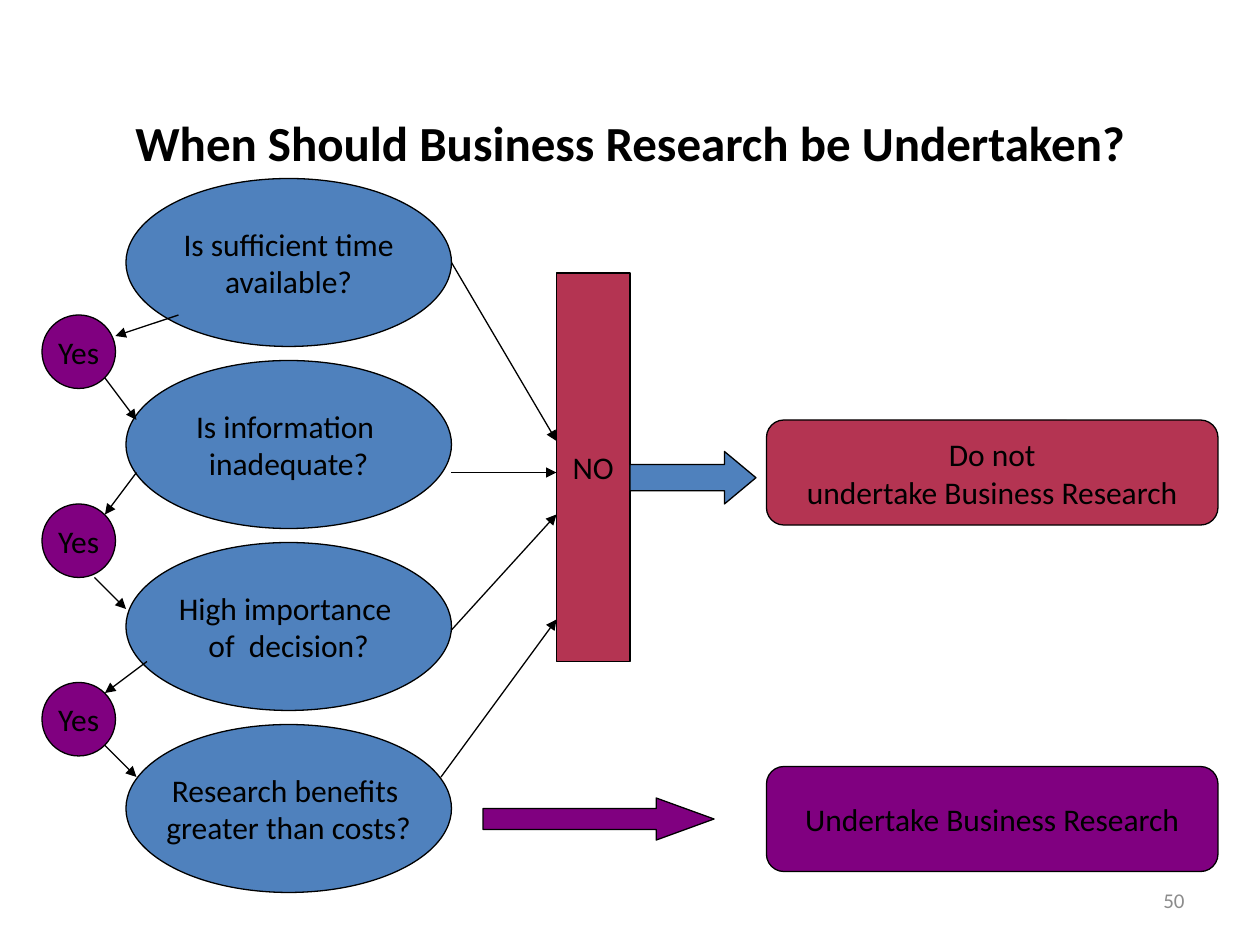
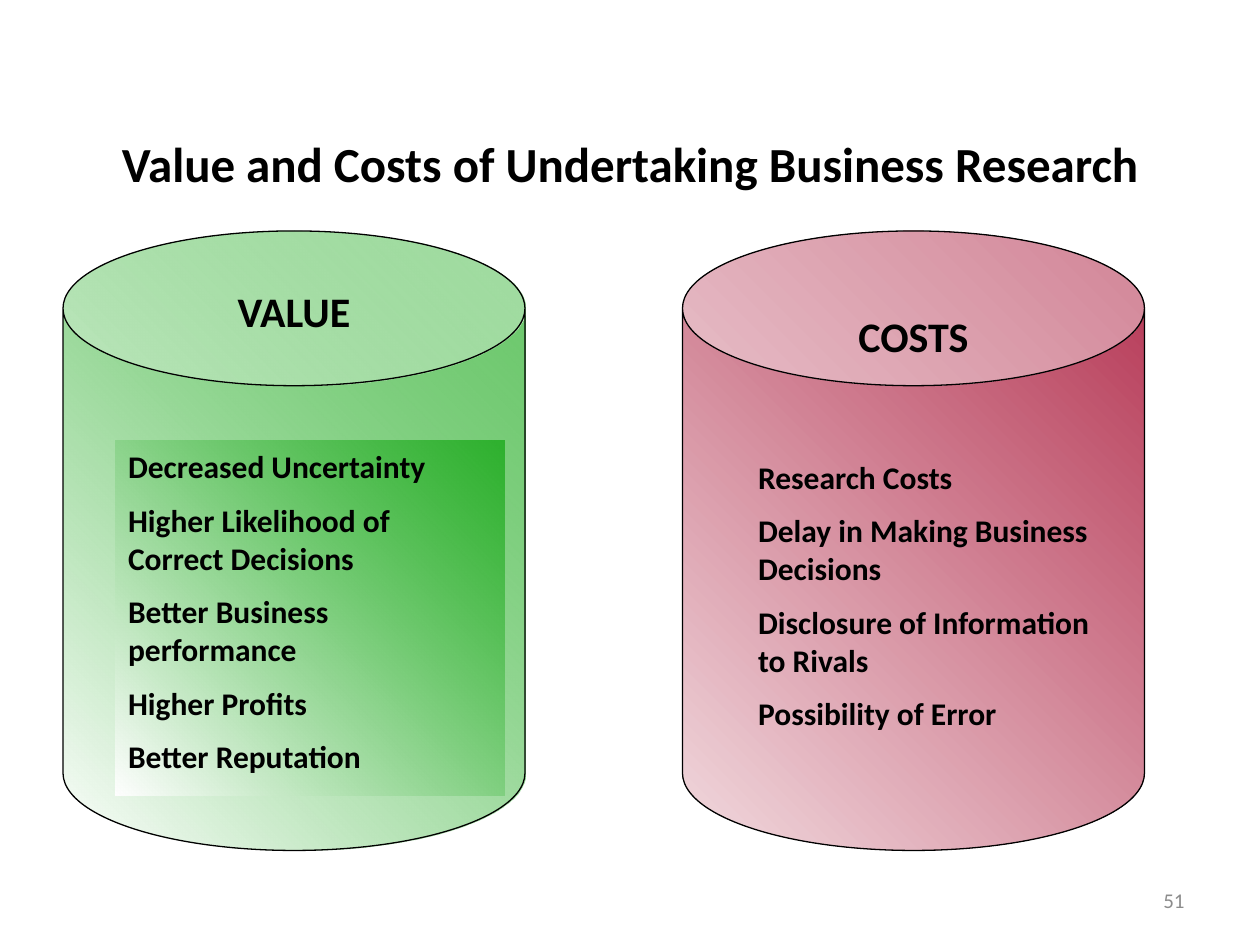
from collections import namedtuple
from dataclasses import dataclass

from lxml import etree
from pptx import Presentation
from pptx.dml.color import RGBColor
from pptx.enum.shapes import MSO_CONNECTOR, MSO_SHAPE
from pptx.enum.text import MSO_ANCHOR as Anchor, MSO_AUTO_SIZE as AutoSize, PP_ALIGN as Align
from pptx.oxml.ns import qn
from pptx.util import Emu, Pt

EMU_PER_PX = 9525
SLIDE_WIDTH, SLIDE_HEIGHT = 960, 720
TITLE_ONLY, TWO_CONTENT = 5, 3

Box = namedtuple("Box", "left top width height")


@dataclass(frozen=True)
class Theme:
    font: str = "Calibri"
    ink: str = "000000"
    muted: str = "8C8C8C"
    question: str = "4F81BD"
    proceed: str = "800080"
    stop: str = "B43452"
    stop_pale: str = "F1D9DE"
    value: str = "00A000"
    value_pale: str = "FFFFFF"
    value_opacity: int = 61
    title_size: int = 28
    heading_size: int = 24
    text_size: int = 18
    number_size: int = 12
    item_gap: int = 9
    line_width: float = 0.75


THEME = Theme()


def px(length):
    return Emu(round(length * EMU_PER_PX))


def rgb(color):
    return RGBColor.from_string(color)


def place(shape, box):
    shape.left, shape.top, shape.width, shape.height = map(px, box)


def write_text(frame, lines, size=THEME.text_size, bold=False, color=THEME.ink,
               align=Align.CENTER, anchor=Anchor.MIDDLE, wrap=True, gap=0, plain=False):
    """Write one paragraph per line; plain takes away inherited bullets."""
    frame.word_wrap = wrap
    frame.auto_size = AutoSize.NONE
    frame.vertical_anchor = anchor
    for index, line in enumerate(lines):
        paragraph = frame.paragraphs[0] if index == 0 else frame.add_paragraph()
        if plain:
            properties = paragraph._p.get_or_add_pPr()
            properties.set("marL", "0")
            properties.set("indent", "0")
            etree.SubElement(properties, qn("a:buNone"))
        paragraph.alignment = align
        paragraph.space_before = Pt(gap if index else 0)
        run = paragraph.add_run()
        run.text = line
        run.font.name = THEME.font
        run.font.size = Pt(size)
        run.font.bold = bold
        run.font.color.rgb = rgb(color)


def outline(line):
    line.color.rgb = rgb(THEME.ink)
    line.width = Pt(THEME.line_width)


def add_figure(slide, kind, box, fill=None, lines=(), adjustments=()):
    """Add an outlined preset shape with unwrapped, centred text."""
    shape = slide.shapes.add_shape(kind, *map(px, box))
    shape.shadow.inherit = False
    outline(shape.line)
    if fill:
        shape.fill.solid()
        shape.fill.fore_color.rgb = rgb(fill)
    for index, value in enumerate(adjustments):
        shape.adjustments[index] = value
    if lines:
        write_text(shape.text_frame, lines, wrap=False)
    return shape


def add_label(slide, box, text, **text_format):
    label = slide.shapes.add_textbox(*map(px, box))
    write_text(label.text_frame, [text], **text_format)


def add_arrow(slide, start, end):
    arrow = slide.shapes.add_connector(MSO_CONNECTOR.STRAIGHT, *map(px, start + end))
    outline(arrow.line)
    etree.SubElement(arrow.line._get_or_add_ln(), qn("a:tailEnd"), type="triangle")
    etree.SubElement(arrow._element.spPr, qn("a:effectLst"))


def fill_diagonal(shape, pale, strong, opacity=100):
    """Fade from pale at the bottom left to strong at the top right."""
    shape.fill.gradient()
    shape.fill.gradient_angle = 45
    for stop, color in zip(shape.fill.gradient_stops, (pale, strong)):
        stop.color.rgb = rgb(color)
    if opacity < 100:
        strong_color = list(shape._element.spPr.iter(qn("a:srgbClr")))[1]
        etree.SubElement(strong_color, qn("a:alpha"), val=str(opacity * 1000))


def start_slide(presentation, layout, title, title_box, number):
    slide = presentation.slides.add_slide(presentation.slide_layouts[layout])
    place(slide.shapes.title, title_box)
    write_text(slide.shapes.title.text_frame, [title], size=THEME.title_size, bold=True)
    add_label(slide, Box(688, 667, 224, 38), str(number), size=THEME.number_size,
              color=THEME.muted, align=Align.RIGHT)
    return slide


def add_questions(slide, box):
    """Spread the four questions evenly down the box."""
    questions = (
        ("Is sufficient time", "available?"),
        ("Is information ", "inadequate?"),
        ("High importance ", "of  decision?"),
        ("Research benefits ", "greater than costs?"),
    )
    height = 128
    pitch = (box.height - height) / (len(questions) - 1)
    for index, lines in enumerate(questions):
        add_figure(slide, MSO_SHAPE.OVAL,
                   Box(box.left, box.top + index * pitch, box.width, height),
                   THEME.question, lines)


def add_yes_steps(slide, box):
    """Add the yes circles with an arrow into and out of each; points are relative to the box."""
    size = box.width
    steps = (
        (0, ((104, 0), (56, 16)), ((48, 48), (72, 80))),
        (144, ((72, 120), (48, 152)), ((40, 200), (64, 224))),
        (280, ((80, 264), (48, 288)), ((48, 328), (72, 352))),
    )
    for top, *arrows in steps:
        add_figure(slide, MSO_SHAPE.OVAL, Box(box.left, box.top + top, size, size),
                   THEME.proceed, ["Yes"])
        for arrow in arrows:
            add_arrow(slide, *((box.left + x, box.top + y) for x, y in arrow))


def add_no_branch(slide, box):
    """Add the NO bar, the arrows that reach it and the arrow that leaves it."""
    add_figure(slide, MSO_SHAPE.RECTANGLE, box, THEME.stop, ["NO"])
    for start_x, start_y, end_y in ((-80, -8, 128), (-80, 152, 152),
                                    (-80, 272, 184), (-88, 384, 264)):
        add_arrow(slide, (box.left + start_x, box.top + start_y), (box.left, box.top + end_y))
    add_figure(slide, MSO_SHAPE.RIGHT_ARROW,
               Box(box.left + box.width, box.top + 136, 96, 40),
               THEME.question, adjustments=(0.5, 0.6))


def add_outcomes(slide, box):
    outcomes = (
        (0, THEME.stop, ("Do not", "undertake Business Research")),
        (264, THEME.proceed, ("Undertake Business Research",)),
    )
    for top, color, lines in outcomes:
        add_figure(slide, MSO_SHAPE.ROUNDED_RECTANGLE,
                   Box(box.left, box.top + top, box.width, 80), color, lines)
    add_figure(slide, MSO_SHAPE.RIGHT_ARROW, Box(box.left - 216, box.top + 288, 176, 32),
               THEME.proceed, adjustments=(0.5, 1.375))


def add_drum(slide, box, heading, heading_top, body, items, list_box, colors):
    """Add a can with a heading on its lid and a list, both placed relative to the can."""
    can = add_figure(slide, MSO_SHAPE.CAN, box, adjustments=(0.335,))
    fill_diagonal(can, *colors)
    add_label(slide, Box(box.left, box.top + heading_top, box.width, 40), heading,
              size=THEME.heading_size, bold=True)
    place(body, list_box._replace(left=box.left + list_box.left, top=box.top + list_box.top))
    write_text(body.text_frame, items, bold=True, align=Align.LEFT, anchor=Anchor.TOP,
               gap=THEME.item_gap, plain=True)
    slide.shapes._spTree.append(body._element)  # brings the list in front of the can


def build_decision_slide(presentation):
    slide = start_slide(presentation, TITLE_ONLY,
                        "When Should Business Research be Undertaken?",
                        Box(24, 48, 912, 120), 50)
    add_questions(slide, Box(96, 136, 248, 544))
    add_yes_steps(slide, Box(32, 240, 56, 336))
    add_no_branch(slide, Box(424, 208, 56, 296))
    add_outcomes(slide, Box(584, 320, 344, 344))


def build_value_slide(presentation):
    slide = start_slide(presentation, TWO_CONTENT,
                        "Value and Costs of Undertaking Business Research",
                        Box(48, 64, 864, 120), 51)
    value_list, cost_list = list(slide.placeholders)[1:3]
    green = (THEME.value_pale, THEME.value, THEME.value_opacity)
    add_drum(slide, Box(48, 176, 352, 472), "VALUE", 41, value_list,
             ("Decreased Uncertainty", "Higher Likelihood of Correct Decisions",
              "Better Business performance", "Higher Profits", "Better Reputation"),
             Box(40, 160, 296, 270), green)
    fill_diagonal(value_list, *green)
    add_drum(slide, Box(520, 176, 352, 472), "COSTS", 60, cost_list,
             ("Research Costs", "Delay in Making Business Decisions",
              "Disclosure of Information to Rivals", "Possibility of Error"),
             Box(48, 168, 296, 227), (THEME.stop_pale, THEME.stop))


def main():
    presentation = Presentation()
    presentation.slide_width = px(SLIDE_WIDTH)
    presentation.slide_height = px(SLIDE_HEIGHT)
    build_decision_slide(presentation)
    build_value_slide(presentation)
    presentation.save("out.pptx")


if __name__ == "__main__":
    main()
